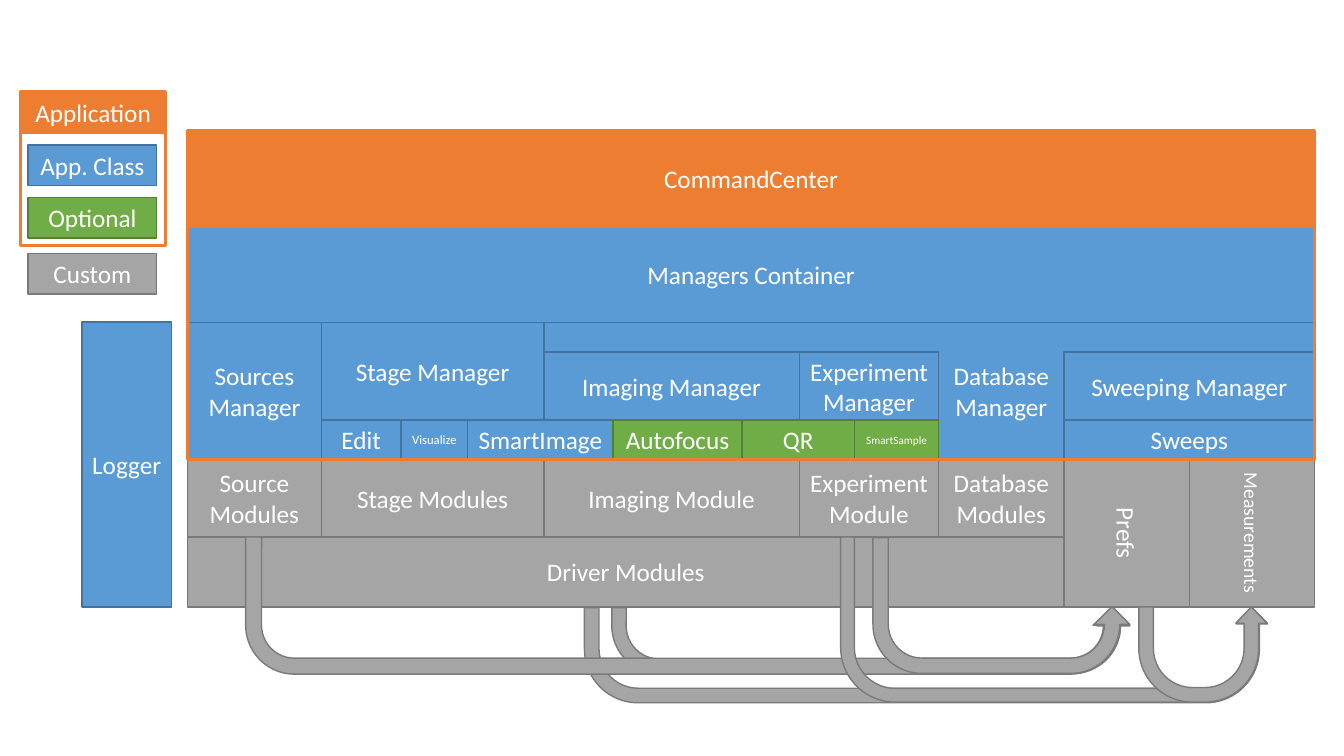
import pptx
import pptx.util
import pptx.dml.color
import pptx.enum.shapes
import pptx.enum.text

Pt = pptx.util.Pt
SHAPES = pptx.enum.shapes.MSO_SHAPE
ORANGE = ("ED7D31", "ED7D31", 2)
BLUE = ("5B9BD5", "43739E", 1)
GREEN = ("70AD47", "538035", 1)
GREY = ("A5A5A5", "7A7A7A", 1)
BLUE_PLAIN = ("5B9BD5", None, 0)
FRAME = (None, "ED7D31", 2)


def paint(format_part, color):
    """Give a fill or font a solid hex colour, or clear a fill with None."""
    if color is None:
        format_part.background()
        return
    if hasattr(format_part, "solid"):
        format_part.solid()
        format_part = format_part.fore_color
    else:
        format_part = format_part.color
    format_part.rgb = pptx.dml.color.RGBColor.from_string(color)


def add_block(kind, left, top, width, height, style, text="", size=18):
    """Add a styled shape, with centred white text where given."""
    fill, line, line_width = style
    block = page.shapes.add_shape(kind, Pt(left), Pt(top), Pt(width), Pt(height))
    block.shadow.inherit = False
    paint(block.fill, fill)
    paint(block.line.fill, line)
    if line:
        block.line.width = Pt(line_width)
    if text:
        frame = block.text_frame
        frame.text = text
        frame.word_wrap = True
        frame.vertical_anchor = pptx.enum.text.MSO_ANCHOR.MIDDLE
        frame.margin_left = frame.margin_right = 0
        frame.margin_top = frame.margin_bottom = 0
        frame.paragraphs[0].alignment = pptx.enum.text.PP_ALIGN.CENTER
        font = frame.paragraphs[0].runs[0].font
        font.name = "Calibri"
        font.size = Pt(size)
        paint(font, "FFFFFF")
    return block


deck = pptx.Presentation()
deck.slide_width, deck.slide_height = Pt(960), Pt(540)
page = deck.slides.add_slide(deck.slide_layouts[6])

# Column edges of the architecture, left to right
sources, stage, imaging, experiment, database, prefs, measures, end = (
    134, 229.5, 388.5, 571, 670.5, 760, 849.5, 939)
# Row edges, top to bottom
command, container, managers, submanagers, tools, modules, drivers, bottom = (
    93, 162, 230.5, 251.5, 300, 328, 383.5, 433.5)

# Arrows as left, top, width, height, adjustments
arrows_behind = [
    (417.5, 434, 488, 68, (0.153, 0.163, 0.171, 0.564, 1)),
    (437, 434, 370, 47, (0.219, 0.25, 0.277, 0.723, 1)),
]
arrows_in_front = [
    (175.5, 383.5, 631.5, 98, (0.116, 0.134, 0.122, 0.356, 0.478)),
    (600.5, 383.5, 304.5, 118, (0.083, 0.093, 0.09, 0.331, 0.57)),
    (623.5, 384, 183.5, 97, (0.113, 0.131, 0.131, 0.564, 0.492)),
    (813.5, 433.5, 91.5, 68, (0.153, 0.163, 0.171, 0.564, 1)),
]

# Blocks as left, top, right, bottom, style, text
blocks = [
    (sources, command, end, container, ORANGE, "CommandCenter"),
    (sources, managers, stage, modules, BLUE, "Sources Manager"),
    (imaging, managers, end, submanagers, BLUE, ""),
    (database, managers, prefs, modules, BLUE_PLAIN, "Database Manager"),
    (sources, container, end, managers, BLUE, "Managers Container"),
    (stage, managers, imaging, tools, BLUE, "Stage Manager"),
    (imaging, submanagers, experiment, tools, BLUE, "Imaging Manager"),
    (experiment, submanagers, database, tools, BLUE, "Experiment Manager"),
    (prefs, submanagers, end, tools, BLUE, "Sweeping Manager"),
    (prefs, tools, end, modules, BLUE, "Sweeps"),
    (sources, modules, stage, drivers, GREY, "Source Modules"),
    (stage, modules, imaging, drivers, GREY, "Stage Modules"),
    (imaging, modules, experiment, drivers, GREY, "Imaging Module"),
    (experiment, modules, database, drivers, GREY, "Experiment Module"),
    (database, modules, prefs, drivers, GREY, "Database Modules"),
    (sources, drivers, prefs, bottom, GREY, "Driver Modules"),
    (58.5, 230, 122.5, bottom, BLUE, "Logger"),
]
tool_row = [("Edit", 57, BLUE, 18), ("Visualize", 47.5, BLUE, 9),
            ("SmartImage", 104, BLUE, 18), ("Autofocus", 92, GREEN, 18),
            ("QR", 80.5, GREEN, 18), ("SmartSample", 60, GREEN, 8)]

for group in (arrows_behind, blocks, arrows_in_front):
    if group is blocks:
        for left, top, right, base, style, text in blocks:
            add_block(SHAPES.RECTANGLE, left, top, right - left, base - top, style, text)

        tool_left = stage
        for text, width, style, size in tool_row:
            add_block(SHAPES.RECTANGLE, tool_left, tools, width, modules - tools,
                      style, text, size)
            tool_left += width

        # Columns turned by a quarter, around their own centre
        for left, right, text, size in ((prefs, measures, "Prefs", 18),
                                        (measures, end, "Measurements", 14)):
            length, breadth = bottom - modules, right - left
            column = add_block(SHAPES.RECTANGLE, (left + right - length) / 2,
                               (modules + bottom - breadth) / 2, length, breadth,
                               GREY, text, size)
            column.rotation = 90
        add_block(SHAPES.RECTANGLE, sources, container, end - sources,
                  modules - container, FRAME)
        continue
    for left, top, width, height, adjustments in group:
        arrow = add_block(SHAPES.U_TURN_ARROW, left, top, width, height, GREY)
        for index, value in enumerate(adjustments):
            arrow.adjustments[index] = value
        arrow.rotation = 180
        arrow._element.spPr.xfrm.set("flipH", "1")

# Legend
add_block(SHAPES.RECTANGLE, 14.5, 94.5, 104, 81, FRAME)
add_block(SHAPES.RECTANGLE, 14.5, 65.5, 104, 29, ORANGE, "Application")
for top, style, text in ((103.5, BLUE, "App. Class"), (141, GREEN, "Optional"),
                         (181, GREY, "Custom")):
    add_block(SHAPES.RECTANGLE, 20, top, 92, 29, style, text)

deck.save("out.pptx")
